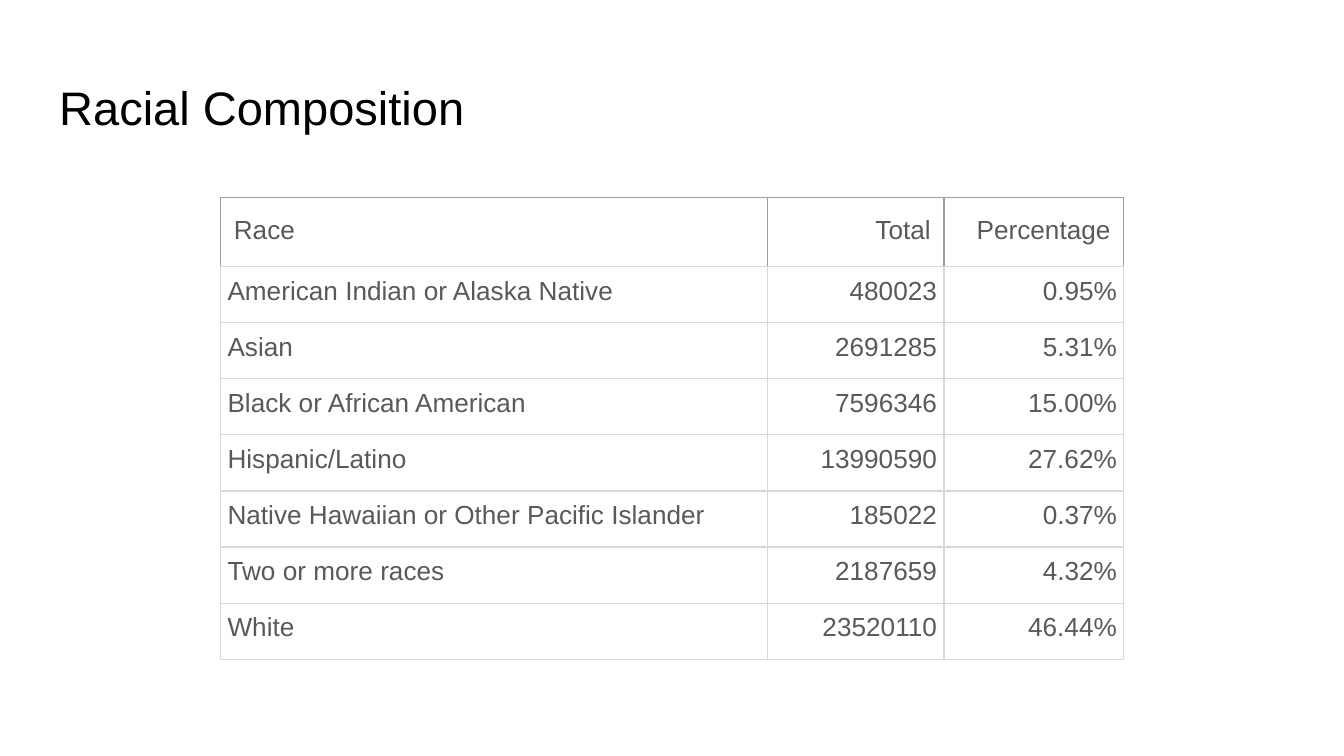
from dataclasses import dataclass
from typing import NamedTuple

from lxml.etree import SubElement
from pptx import Presentation
from pptx.dml.color import RGBColor as RGB
from pptx.enum.text import MSO_ANCHOR as Anchor, PP_ALIGN as Align
from pptx.oxml.ns import qn
from pptx.util import Cm, Pt


@dataclass(frozen=True)
class Theme:
    font: str = "Arial"
    title_size: float = 25.2
    body_size: float = 14
    title: str = "000000"
    body: str = "595959"
    header_line: str = "9E9E9E"
    grid_line: str = "D6DADC"
    line_width: float = 0.75


class Column(NamedTuple):
    heading: str
    width: float
    align: Align


class RaceCount(NamedTuple):
    race: str
    total: str
    percentage: str


class RowStyle(NamedTuple):
    height: float
    inset_x: float
    inset_y: float
    line: str


THEME = Theme()
HEADER = RowStyle(1.3, 0.25, 0.25, THEME.header_line)
BODY = RowStyle(1.06, 0.13, 0.1, THEME.grid_line)
COLUMNS = [
    Column("Race", 10.34, Align.LEFT),
    Column("Total", 3.33, Align.RIGHT),
    Column("Percentage", 3.4, Align.RIGHT),
]
COUNTS = [
    RaceCount("American Indian or Alaska Native", "480023", "0.95%"),
    RaceCount("Asian", "2691285", "5.31%"),
    RaceCount("Black or African American", "7596346", "15.00%"),
    RaceCount("Hispanic/Latino", "13990590", "27.62%"),
    RaceCount("Native Hawaiian or Other Pacific Islander", "185022", "0.37%"),
    RaceCount("Two or more races", "2187659", "4.32%"),
    RaceCount("White", "23520110", "46.44%"),
]


def set_font(p, size: float, color: str) -> None:
    p.font.name = THEME.font
    p.font.size = Pt(size)
    p.font.color.rgb = RGB.from_string(color)


def set_insets(box, x: float, y: float) -> None:
    box.margin_left = box.margin_right = Cm(x)
    box.margin_top = box.margin_bottom = Cm(y)


def set_borders(cell, line: str) -> None:
    tc_pr = cell._tc.get_or_add_tcPr()
    sides = {"L": line, "R": line, "T": line, "B": THEME.grid_line}
    for side, color in sides.items():
        ln = SubElement(tc_pr, qn(f"a:ln{side}"), w=str(Pt(THEME.line_width)))
        fill = SubElement(ln, qn("a:solidFill"))
        SubElement(fill, qn("a:srgbClr"), val=color)


def add_title(s, text: str) -> None:
    sp = s.shapes.add_textbox(Cm(0.87), Cm(1.24), Cm(23.67), Cm(1.6))
    tf = sp.text_frame
    tf.word_wrap = True
    set_insets(tf, 0.25, 0.25)
    p = tf.paragraphs[0]
    p.text = text
    set_font(p, THEME.title_size, THEME.title)


def fill_cell(cell, text: str, align: Align, style: RowStyle) -> None:
    set_insets(cell, style.inset_x, style.inset_y)
    cell.vertical_anchor = Anchor.TOP
    set_borders(cell, style.line)
    cell.fill.background()
    p = cell.text_frame.paragraphs[0]
    p.text = text
    p.alignment = align
    p.line_spacing = 1.15
    p.space_after = Pt(12)
    set_font(p, THEME.body_size, THEME.body)


def add_race_table(s) -> None:
    rows = [(HEADER, [c.heading for c in COLUMNS])]
    rows += [(BODY, count) for count in COUNTS]
    width = sum(c.width for c in COLUMNS)
    height = sum(style.height for style, _ in rows)
    table = s.shapes.add_table(
        len(rows), len(COLUMNS), Cm(4.17), Cm(3.74), Cm(width), Cm(height)
    ).table
    table.first_row = table.horz_banding = False
    for col, column in zip(table.columns, COLUMNS):
        col.width = Cm(column.width)
    for row, (style, texts) in zip(table.rows, rows):
        row.height = Cm(style.height)
        for cell, text, column in zip(row.cells, texts, COLUMNS):
            fill_cell(cell, text, column.align, style)


def main() -> None:
    prs = Presentation()
    prs.slide_width, prs.slide_height = Cm(25.4), Cm(14.29)
    s = prs.slides.add_slide(prs.slide_layouts[6])
    add_title(s, "Racial Composition")
    add_race_table(s)
    prs.save("out.pptx")


if __name__ == "__main__":
    main()
